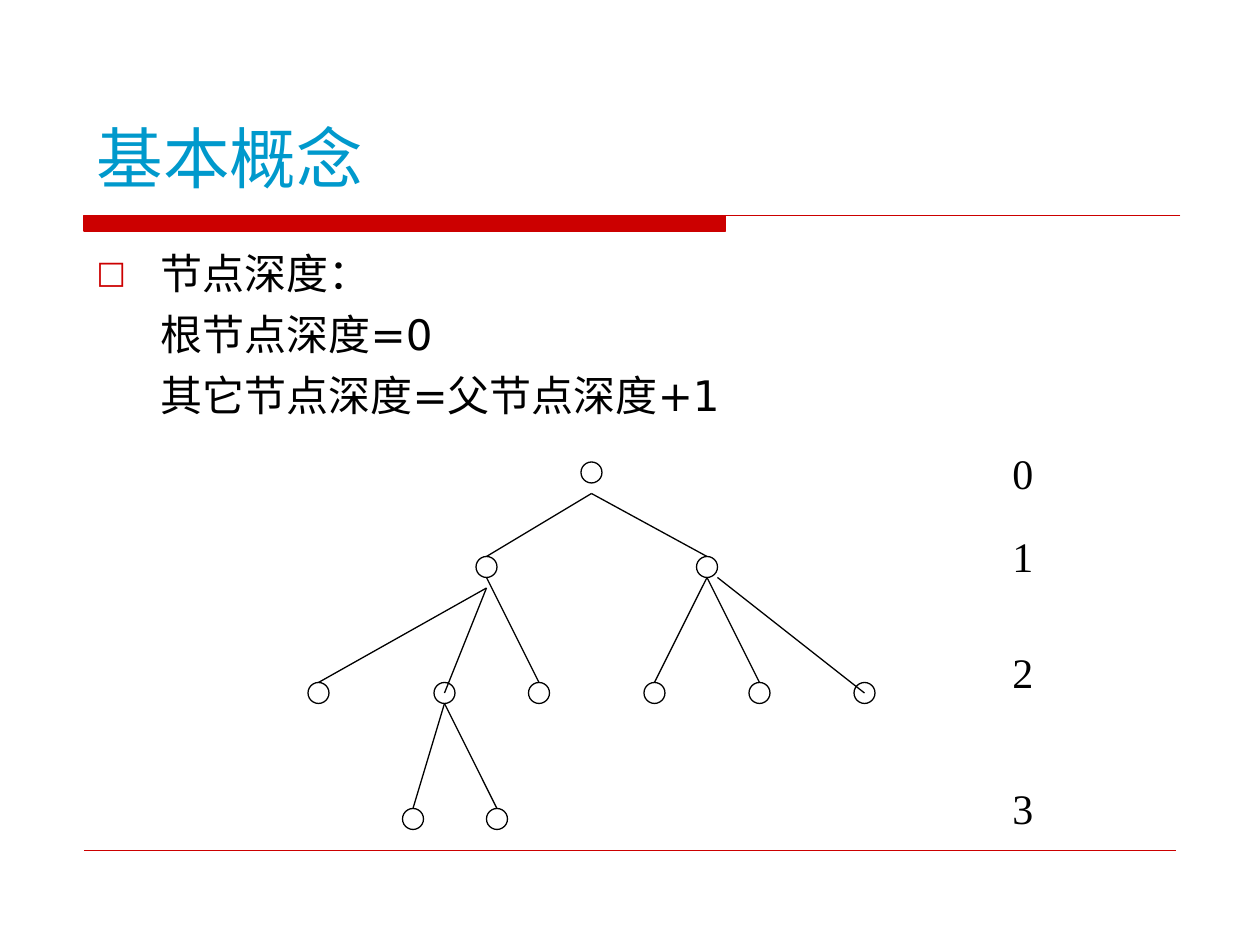
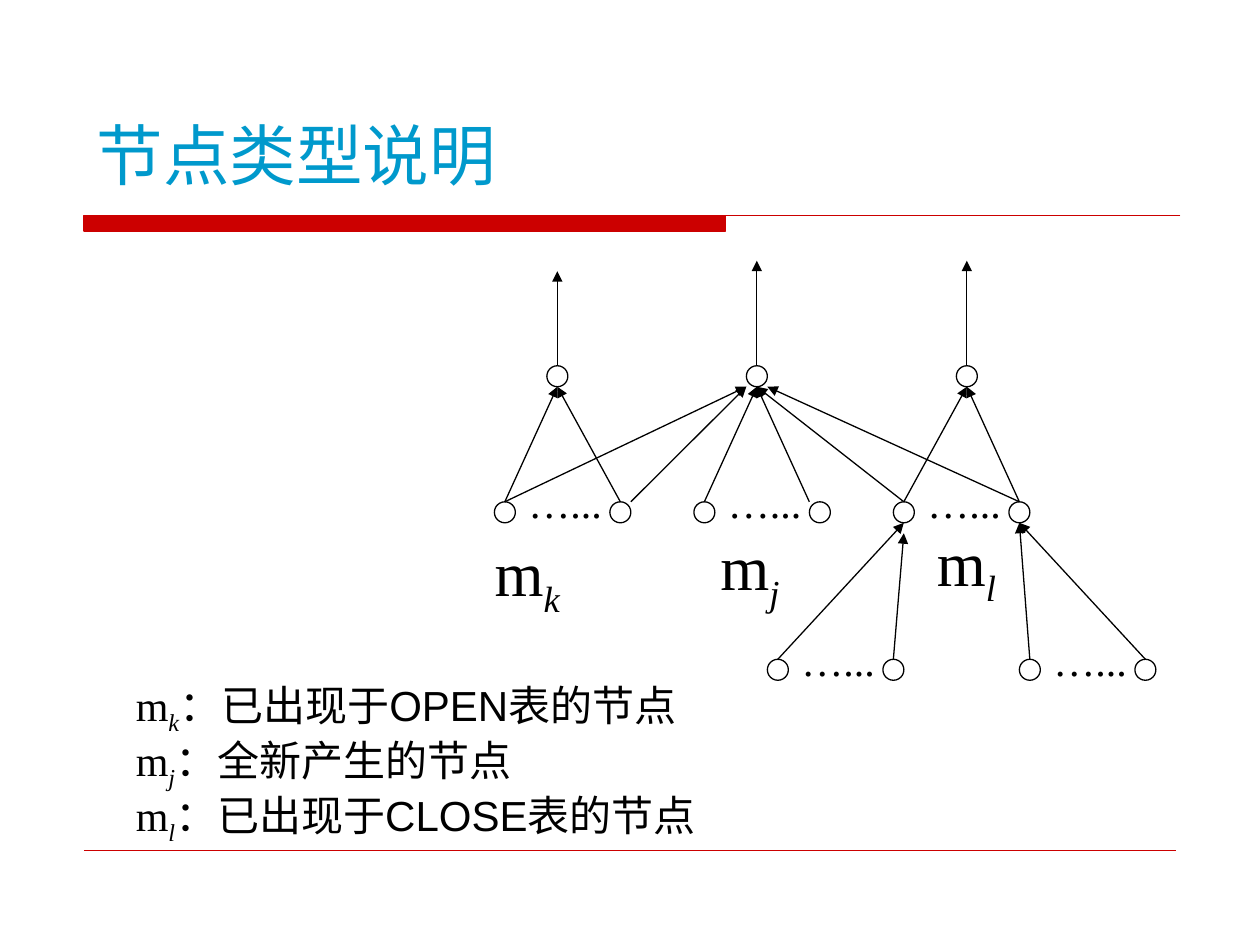
from lxml.etree import SubElement
from pptx import Presentation
from pptx.dml.color import RGBColor
from pptx.enum.shapes import MSO_CONNECTOR, MSO_SHAPE
from pptx.enum.text import MSO_ANCHOR, MSO_AUTO_SIZE, PP_ALIGN
from pptx.oxml.ns import qn
from pptx.util import Pt

RED, BLUE, BLACK, WHITE = "CC0000", "0099CC", "000000", "FFFFFF"
SANS, SERIF, ARIAL = "DejaVu Sans", "Times New Roman", "Arial"
NODE = 12   # node diameter
SPAN = 66   # distance between the two nodes of a pair


def rgb(code):
    return RGBColor.from_string(code)


def put(item, vals):
    for name, val in vals.items():
        setattr(item, name, val)


def font(face, size, **more):
    return dict(name=face, size=Pt(size), **more)


class Deck:
    """Shared style and the slide being built."""

    def __init__(self):
        self.prs = Presentation()
        put(self.prs, {"slide_width": Pt(720), "slide_height": Pt(540)})

    def start(self, title, top, high):
        """Add a slide with its title, red band and foot line."""
        self.slide = self.prs.slides.add_slide(self.prs.slide_layouts[5])
        self.shapes = self.slide.shapes
        self.band()
        self.line(48, 486, 672, 486, RED, 0.25)
        head = self.shapes.title
        put(head, {"left": Pt(48), "top": Pt(top),
                   "width": Pt(612), "height": Pt(high)})
        self.fill(head.text_frame, [[(title, font(SANS, 38))]],
                  {"alignment": PP_ALIGN.LEFT}, MSO_ANCHOR.BOTTOM, color=BLUE)

    def band(self):
        pen = self.shapes.build_freeform(Pt(48), Pt(123))
        pen.add_line_segments([(Pt(x), Pt(y)) for x, y in
                               [(414.5, 123), (414.5, 132), (48, 132)]])
        pen.move_to(Pt(48), Pt(123))
        pen.add_line_segments([(Pt(674.5), Pt(123))], close=False)
        self.paint(pen.convert_to_shape(), RED, RED)

    def paint(self, shape, fill, edge):
        shape.shadow.inherit = False
        if fill:
            shape.fill.solid()
            shape.fill.fore_color.rgb = rgb(fill)
        else:
            shape.fill.background()
        shape.line.color.rgb = rgb(edge)
        shape.line.width = Pt(0.75)

    def line(self, x1, y1, x2, y2, color=BLACK, width=0.75, arrow=False):
        link = self.shapes.add_connector(
            MSO_CONNECTOR.STRAIGHT, Pt(x1), Pt(y1), Pt(x2), Pt(y2))
        link.line.color.rgb = rgb(color)
        link.line.width = Pt(width)
        if arrow:
            SubElement(link.line._get_or_add_ln(), qn("a:tailEnd"),
                       type="triangle")
        SubElement(link._element.spPr, qn("a:effectLst"))

    def node(self, x, y, fill=WHITE):
        """Draw a circle centred on x, y."""
        ring = self.shapes.add_shape(
            MSO_SHAPE.OVAL, Pt(x - NODE / 2), Pt(y - NODE / 2),
            Pt(NODE), Pt(NODE))
        self.paint(ring, fill, BLACK)

    def fill(self, frame, paras, form, anchor, wrap=True, gap=0, color=BLACK):
        """Write paragraphs, each a list of (text, font values) runs."""
        put(frame, {"word_wrap": wrap, "vertical_anchor": anchor,
                    "auto_size": MSO_AUTO_SIZE.NONE})
        for i, runs in enumerate(paras):
            para = frame.add_paragraph() if i else frame.paragraphs[0]
            put(para, form)
            para.space_before = Pt(gap if i else 0)
            for text, vals in runs:
                run = para.add_run()
                run.text = text
                put(run.font, vals)
                run.font.color.rgb = rgb(color)

    def text(self, x, y, wide, high, paras, align=PP_ALIGN.CENTER,
             anchor=MSO_ANCHOR.MIDDLE, wrap=True, gap=0, **form):
        box = self.shapes.add_textbox(Pt(x), Pt(y), Pt(wide), Pt(high))
        self.fill(box.text_frame, paras, dict(form, alignment=align),
                  anchor, wrap, gap)
        return box.text_frame

    def tag(self, x, y, wide, text):
        """Place a short centred label."""
        self.text(x, y, wide, 36, [[(text, font(SERIF, 24))]], wrap=False)

    def pair(self, x, y, fill=None):
        """Draw two nodes with dots between them."""
        for spot in (x, x + SPAN):
            self.node(spot, y, fill)
        self.tag(x + 6.5, y - 24, 56, "…...")


def sub(para):
    """Lower the second run of a paragraph."""
    para.runs[1]._r.get_or_add_rPr().set("baseline", "-25000")


def name(mark, size):
    return [("m", font(SERIF, size)), (mark, font(SERIF, size, italic=True))]


def bullet(para):
    props = para._p.get_or_add_pPr()
    props.set("indent", str(-Pt(36.75)))
    color = SubElement(props, qn("a:buClr"))
    SubElement(color, qn("a:srgbClr"), val=RED)
    SubElement(props, qn("a:buSzPct"), val="75000")
    SubElement(props, qn("a:buFont"), typeface=SANS)
    SubElement(props, qn("a:buChar"), char="□")


def depth(deck):
    deck.start("基本概念", 60.5, 55.5)
    lines = ["节点深度：", "根节点深度=0", "其它节点深度=父节点深度+1"]
    body = deck.text(48, 138, 672, 402,
                     [[(line, font(SANS, 24))] for line in lines],
                     PP_ALIGN.LEFT, MSO_ANCHOR.TOP, gap=6)
    for para in body.paragraphs:
        para._p.get_or_add_pPr().set("marL", str(Pt(36.75)))
    bullet(body.paragraphs[0])

    rows = {270: [338], 324: [278, 404],
            396: [182, 254, 308, 374, 434, 494], 468: [236, 284]}
    for y, spots in rows.items():
        for x in spots:
            deck.node(x, y)
    edges = [(338, 282, 278, 318), (338, 282, 404, 318),
             (278, 336, 182, 390), (278, 336, 254, 396),
             (278, 330, 308, 390), (404, 330, 374, 390),
             (404, 330, 434, 390), (410, 330, 494, 396),
             (254, 402, 236, 462), (254, 402, 284, 462)]
    for edge in edges:
        deck.line(*edge)
    for level, y in enumerate([252, 299.5, 366, 443.5]):
        deck.tag(571.5, y, 26, str(level))


def kinds(deck):
    deck.start("节点类型说明", 54.5, 60)
    top, mid, low = 215, 292.75, 382.75
    roots = {318.5: 155, 432.5: 149, 552.5: 149}
    for x, tip in roots.items():
        deck.node(x, top)
        deck.line(x, top - 6, x, tip, arrow=True)
    for x, y, fill in [(288.5, mid, None), (402.5, mid, None),
                       (516.5, mid, WHITE), (444.5, low, None),
                       (588.5, low, None)]:
        deck.pair(x, y, fill)

    climbs = [(288.5, 318.5), (354.5, 318.5), (402.5, 432.5), (462.5, 432.5),
              (288.5, 426.5), (360.5, 426.5), (516.5, 432.5), (582.5, 438.5),
              (516.5, 552.5), (582.5, 552.5)]
    for x, end in climbs:
        deck.line(x, mid - 6, end, top + 6, arrow=True)
    for x, end, tip in [(444.5, 516.5, 6), (510.5, 516.5, 12),
                        (588.5, 582.5, 6), (654.5, 582.5, 6)]:
        deck.line(x, low - 6, end, mid + tip, arrow=True)

    for mark, x, y, wide in [("j", 396.5, 297.5, 64), ("k", 260.5, 301, 81.5),
                             ("l", 525.5, 295, 53.5)]:
        frame = deck.text(x, y, wide, 57, [name(mark, 36)])
        sub(frame.paragraphs[0])
    notes = {"k": "：已出现于OPEN表的节点", "j": "：全新产生的节点",
             "l": "：已出现于CLOSE表的节点"}
    key = deck.text(70.5, 395.5, 370, 86.5,
                    [name(mark, 24) + [(note, font(ARIAL, 24))]
                     for mark, note in notes.items()],
                    PP_ALIGN.JUSTIFY, MSO_ANCHOR.TOP, gap=15,
                    line_spacing=0.5)
    for para in key.paragraphs:
        sub(para)


def main():
    deck = Deck()
    depth(deck)
    kinds(deck)
    deck.prs.save("out.pptx")


if __name__ == "__main__":
    main()
